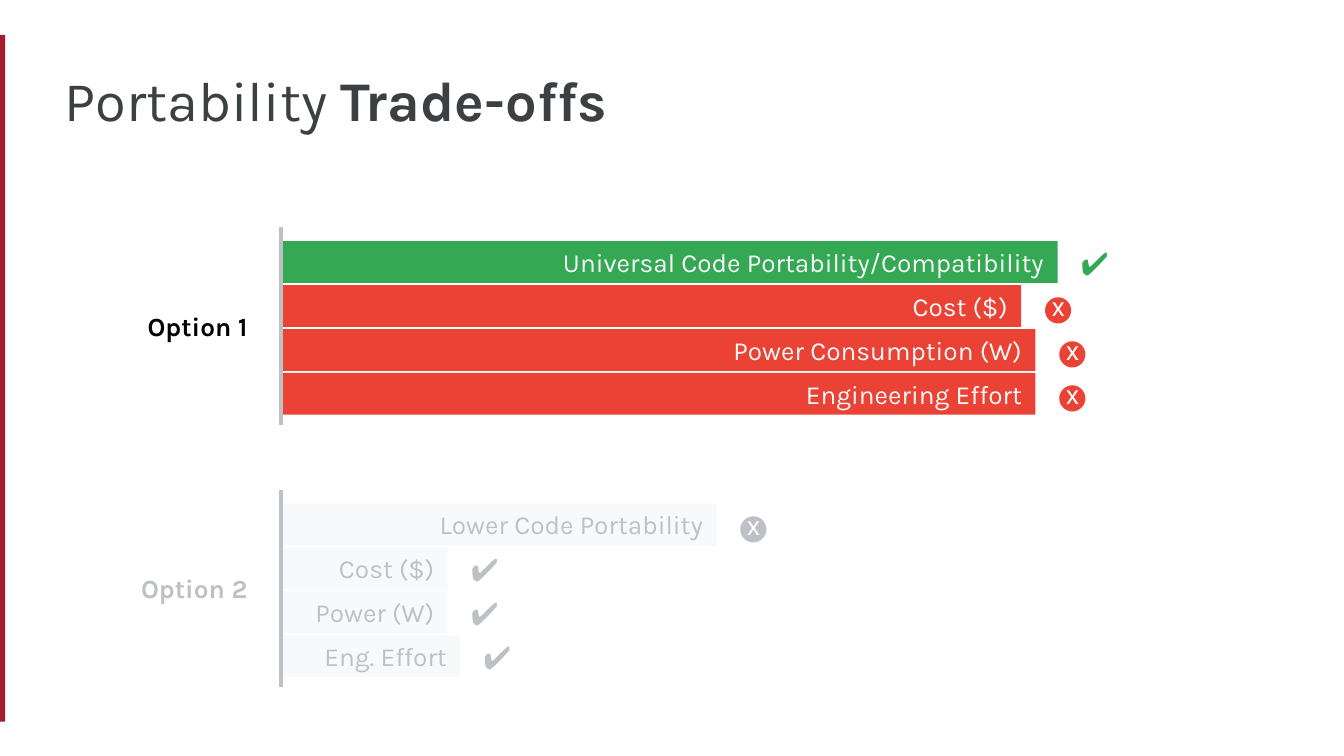
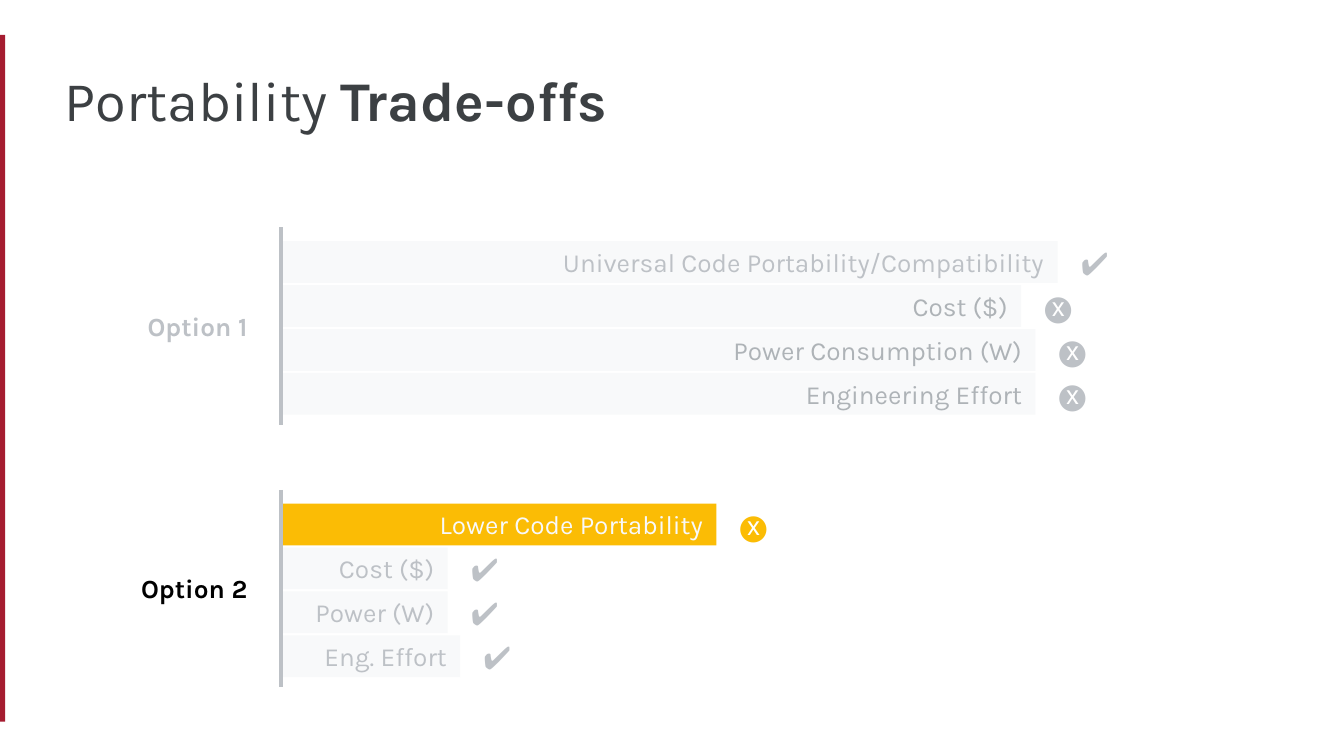
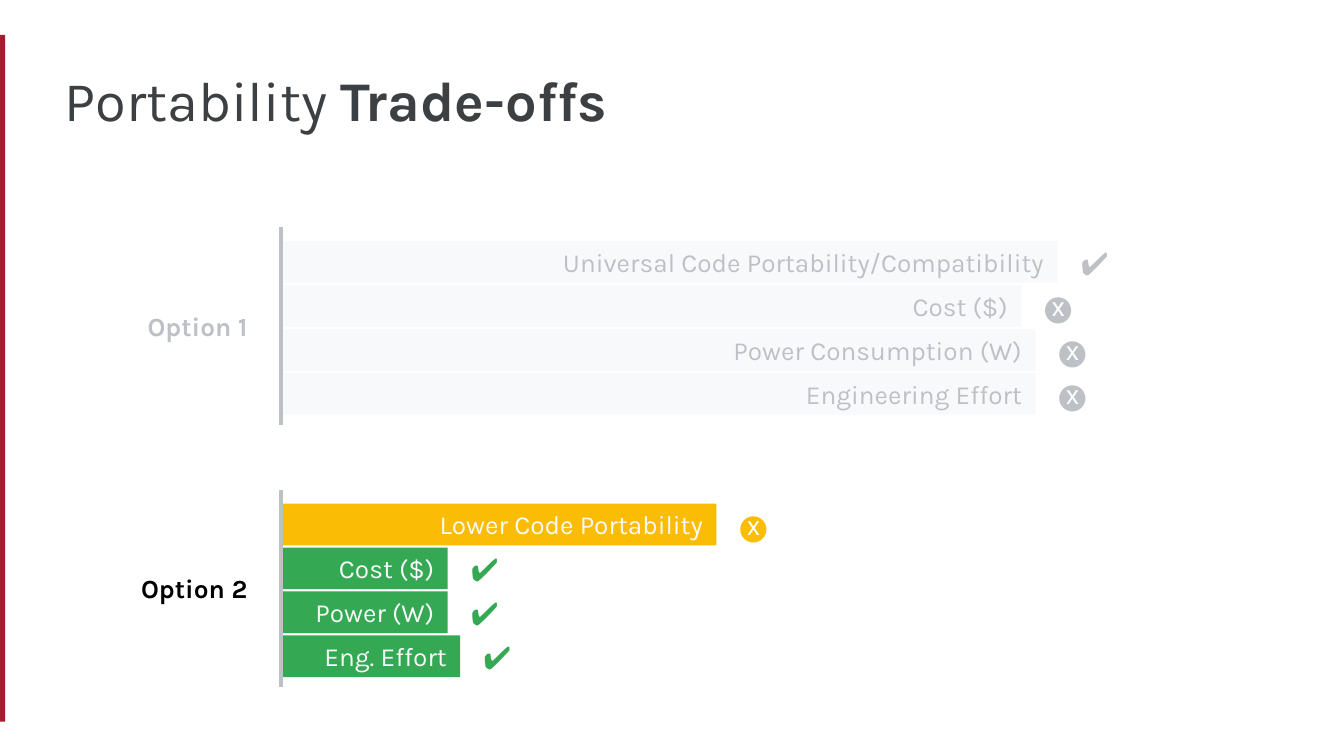
import pptx
import pptx.dml.color
import pptx.enum.shapes
import pptx.enum.text
import pptx.oxml.ns
import pptx.util
from lxml import etree

Cm = pptx.util.Cm
Pt = pptx.util.Pt
ALIGN = pptx.enum.text.PP_ALIGN
ANCHOR = pptx.enum.text.MSO_ANCHOR
RECTANGLE = pptx.enum.shapes.MSO_SHAPE.RECTANGLE

CRIMSON, INK, BLACK = "A51C30", "3C4043", "000000"
GREEN, RED, YELLOW = "34A853", "EA4335", "FBBC05"
PALE, GREY, MID_GREY = "F8F9FA", "BDC1C6", "AEB3B7"
FONT = "Karla"
INSET = 0.25
CHECK, CROSS = "✔", "🅧"
MARK_STYLES = {CHECK: (FONT, 17), CROSS: ("Roboto", 14)}

BAR_HEIGHT, BAR_PITCH = 0.79, 0.83
OPTION_LEFT, OPTION_HEIGHT = 1.98, 3.73
OPTIONS = [
    ("Option 1", 4.3, [
        ("Universal Code Portability/Compatibility", 14.65, CHECK, GREEN),
        ("Cost ($)", 13.96, CROSS, RED),
        ("Power Consumption (W)", 14.23, CROSS, RED),
        ("Engineering Effort", 14.23, CROSS, RED),
    ]),
    ("Option 2", 9.26, [
        ("Lower Code Portability", 8.2, CROSS, YELLOW),
        ("Cost ($)", 3.12, CHECK, GREEN),
        ("Power (W)", 3.12, CHECK, GREEN),
        ("Eng. Effort", 3.36, CHECK, GREEN),
    ]),
]
STAGES = [
    [(4, GREY), (0, GREY)],
    [(0, MID_GREY), (1, GREY)],
    [(0, GREY), (4, GREY)],
]


def color(hex_code):
    return pptx.dml.color.RGBColor.from_string(hex_code)


def set_frame(frame, anchor):
    frame.word_wrap = True
    frame.auto_size = pptx.enum.text.MSO_AUTO_SIZE.NONE
    frame.vertical_anchor = anchor
    frame.margin_left = frame.margin_right = Cm(INSET)
    frame.margin_top = frame.margin_bottom = Cm(INSET)


def add_run(paragraph, text, tone, size=14, bold=False, font=FONT):
    run = paragraph.add_run()
    run.text = text
    run.font.name = font
    run.font.size = Pt(size)
    run.font.bold = bold
    run.font.color.rgb = color(tone)


def write_line(shape, text, tone, align, **style):
    set_frame(shape.text_frame, ANCHOR.MIDDLE)
    paragraph = shape.text_frame.paragraphs[0]
    paragraph.alignment = align
    add_run(paragraph, text, tone, **style)


def add_rectangle(slide, left, top, width, height, fill):
    rectangle = slide.shapes.add_shape(
        RECTANGLE, Cm(left), Cm(top), Cm(width), Cm(height))
    rectangle.shadow.inherit = False
    rectangle.fill.solid()
    rectangle.fill.fore_color.rgb = color(fill)
    rectangle.line.fill.background()
    return rectangle


def add_axis(slide, x, top, height):
    axis = slide.shapes.add_connector(
        pptx.enum.shapes.MSO_CONNECTOR.STRAIGHT,
        Cm(x), Cm(top), Cm(x), Cm(top + height))
    axis.line.color.rgb = color(GREY)
    axis.line.width = Pt(2.25)
    etree.SubElement(axis.element.spPr, pptx.oxml.ns.qn("a:effectLst"))


def add_bar(slide, left, top, row, lit, muted_text):
    text, width, mark, accent = row
    bar = add_rectangle(slide, left, top, width, BAR_HEIGHT, accent if lit else PALE)
    write_line(bar, text, PALE if lit else muted_text, ALIGN.RIGHT)
    verdict = slide.shapes.add_textbox(
        Cm(left + width - 0.14), Cm(top - 0.11), Cm(1.68), Cm(1.02))
    font, size = MARK_STYLES[mark]
    write_line(verdict, mark, accent if lit else GREY, ALIGN.CENTER,
               font=font, size=size)


def add_option(slide, left, top, height, name, rows, lit_count, rest_text):
    heading = slide.shapes.add_textbox(
        Cm(left), Cm(top + (height - 1.85) / 2), Cm(2.95), Cm(1.85))
    write_line(heading, name, BLACK if lit_count else GREY, ALIGN.RIGHT, bold=True)
    for index, row in enumerate(rows):
        add_bar(slide, left + 3.36, top + 0.26 + index * BAR_PITCH, row,
                index < lit_count, rest_text if index else GREY)
    add_axis(slide, left + 3.33, top, height)


def style_layout(layout):
    title = layout.placeholders[0]
    title.left, title.top = Cm(0.97), Cm(0.91)
    title.width, title.height = Cm(11.05), Cm(1.85)
    set_frame(title.text_frame, ANCHOR.BOTTOM)


def add_master_stripe(presentation, slide):
    stripe = add_rectangle(slide, -0.05, 0.66, 0.15, 12.98, CRIMSON)
    presentation.slide_master.shapes.element.insert(2, stripe.element)


def add_tradeoff_slide(presentation, layout, stage):
    slide = presentation.slides.add_slide(layout)
    heading = slide.shapes.title.text_frame.paragraphs[0]
    heading.alignment = ALIGN.LEFT
    add_run(heading, "Portability ", INK, size=30)
    add_run(heading, "Trade-offs", INK, size=30, bold=True)
    for (name, top, rows), (lit_count, rest_text) in zip(OPTIONS, stage):
        add_option(slide, OPTION_LEFT, top, OPTION_HEIGHT, name, rows,
                   lit_count, rest_text)
    return slide


def main():
    presentation = pptx.Presentation()
    presentation.slide_width = Cm(25.4)
    presentation.slide_height = Cm(14.29)
    layout = presentation.slide_layouts[5]
    style_layout(layout)
    slides = [add_tradeoff_slide(presentation, layout, stage) for stage in STAGES]
    add_master_stripe(presentation, slides[0])
    presentation.save("out.pptx")


if __name__ == "__main__":
    main()
